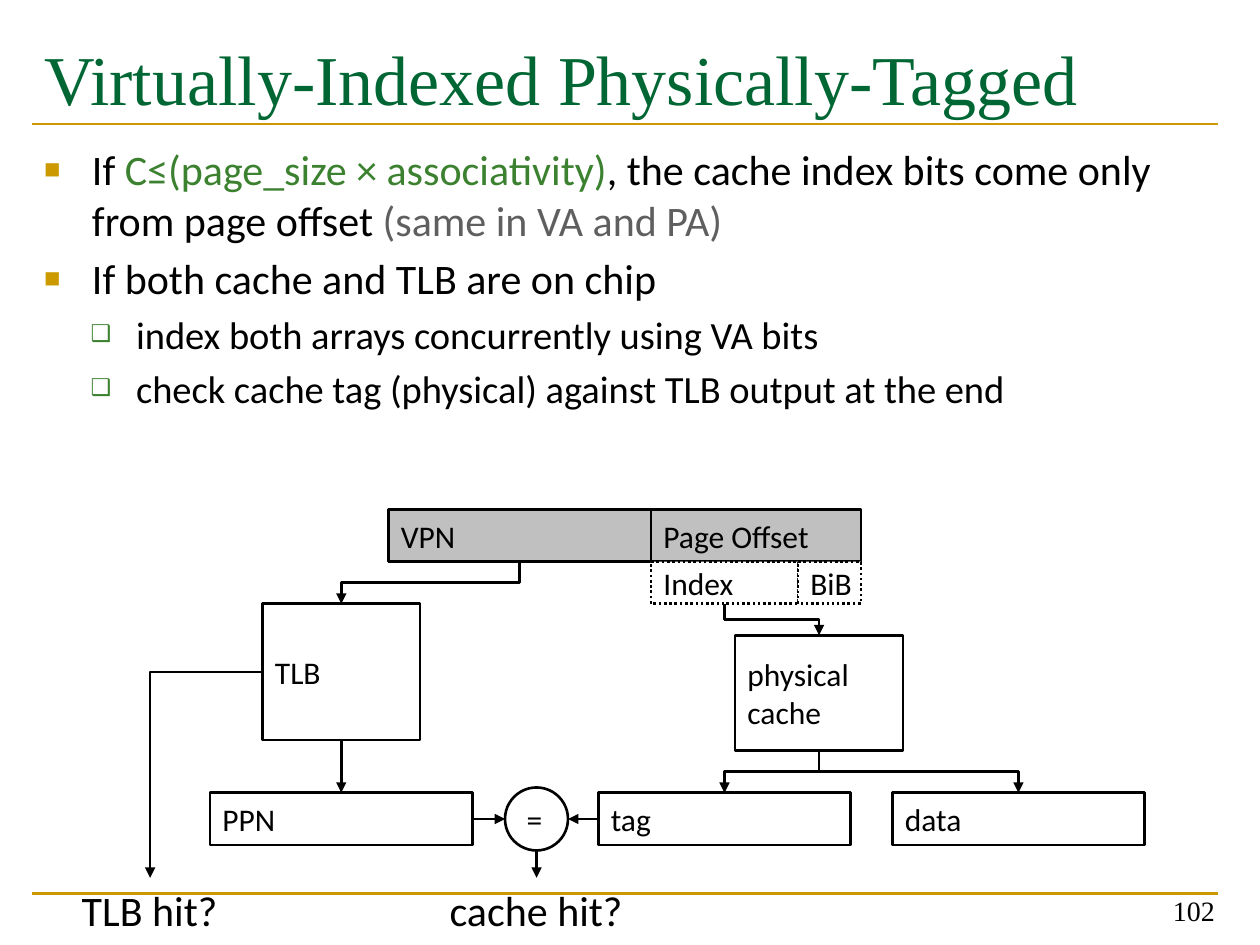
from dataclasses import dataclass

from lxml import etree
from pptx import Presentation, util as u
from pptx.dml.color import RGBColor
from pptx.enum import dml, shapes, text
from pptx.oxml.ns import qn

COLORS = {"black": "000000", "white": "FFFFFF", "gray": "C0C0C0", "note": "5F5F5F",
          "gold": "CC9900", "green": "3B812F", "title": "006633"}
CELL = u.Inches(1) / 12  # grid of 120 columns by 90 rows


@dataclass
class Box:
    label: str
    column: float
    row: float
    columns: float
    rows: float
    fill: str = "white"
    dash: object = None
    kind: object = shapes.MSO_SHAPE.RECTANGLE
    shape: object = None

    @property
    def middle(self) -> float:
        return self.column + self.columns / 2

    @property
    def bottom(self) -> float:
        return self.row + self.rows


@dataclass
class Bullet:
    level: int
    runs: list


BULLET_STYLES = [  # sign, colour, percent of text, left margin, hanging indent, size, space before
    ("■", "gold", 65, 0.38, 0.38, 24, 4.8),
    ("❑", "green", 60, 0.73, 0.36, 22, 4.4),
]
BULLETS = [
    Bullet(0, [("If ", "black"), ("C≤(page_size × associativity)", "green"),
               (", the cache index bits come only from page offset ", "black"),
               ("(same in VA and PA)", "note")]),
    Bullet(0, [("If both cache and TLB are on chip", "black")]),
    Bullet(1, [("index both arrays concurrently using VA bits", "black")]),
    Bullet(1, [("check cache tag (physical) against TLB output at the end", "black")]),
]
DOTTED = dml.MSO_LINE.ROUND_DOT
BOXES = {
    "vpn": Box("VPN", 37, 48.5, 25, 5, "gray"),
    "offset": Box("Page Offset", 62, 48.5, 20, 5, "gray"),
    "tlb": Box("TLB", 25, 57.5, 15, 13),
    "ppn": Box("PPN", 20, 75.5, 25, 5),
    "index": Box("Index", 62, 53.5, 14, 4, dash=DOTTED),
    "bib": Box("BiB", 76, 53.5, 6, 4, dash=DOTTED),
    "cache": Box("physical\ncache", 70, 60.5, 16, 11),
    "tag": Box("tag", 57, 75.5, 24, 5),
    "data": Box("data", 85, 75.5, 24, 5),
    "equal": Box("=", 48.1, 75, 6, 6, kind=shapes.MSO_SHAPE.OVAL),
}
ELBOWS = [("vpn", "tlb"), ("index", "cache"), ("cache", "tag"), ("cache", "data")]
HIT_ROW = 83.6
TLB_HIT_COLUMN = 14.3


def grid(*cells: float) -> list:
    return [u.Emu(round(cell * CELL)) for cell in cells]


def color(name: str) -> RGBColor:
    return RGBColor.from_string(COLORS[name])


def place(shape, left: float, top: float, width: float, height: float) -> None:
    values = {"left": left, "top": top, "width": width, "height": height}
    for name, value in values.items():
        setattr(shape, name, u.Inches(value))


def format_font(font, size: float, color_name: str = "black", name: str = "Calibri") -> None:
    for key, value in {"size": u.Pt(size), "name": name}.items():
        setattr(font, key, value)
    font.color.rgb = color(color_name)


def format_frame(frame, **values) -> None:
    for key, value in values.items():
        setattr(frame, key, value)


def add_bullet(paragraph, bullet: Bullet, first: bool) -> None:
    sign, sign_color, percent, margin, indent, size, space = BULLET_STYLES[bullet.level]
    paragraph.level = bullet.level
    paragraph.space_before = u.Pt(0 if first else space)
    properties = paragraph._p.get_or_add_pPr()
    properties.set("marL", str(u.Inches(margin)))
    properties.set("indent", str(-u.Inches(indent)))
    bullet_color = etree.SubElement(properties, qn("a:buClr"))
    etree.SubElement(bullet_color, qn("a:srgbClr"), val=COLORS[sign_color])
    etree.SubElement(properties, qn("a:buSzPct"), val=str(percent * 1000))
    etree.SubElement(properties, qn("a:buChar"), char=sign)
    for words, color_name in bullet.runs:
        run = paragraph.add_run()
        run.text = words
        format_font(run.font, size, color_name)


def add_label(slide, words: str, at: tuple, size: float, font: str = "Calibri",
              align=text.PP_ALIGN.LEFT, **frame_values) -> None:
    label = slide.shapes.add_textbox(*[u.Inches(value) for value in at])
    format_frame(label.text_frame, **frame_values)
    paragraph = label.text_frame.paragraphs[0]
    paragraph.text = words
    paragraph.alignment = align
    format_font(paragraph.font, size, name=font)


def draw_box(slide, box: Box) -> None:
    box.shape = shape = slide.shapes.add_shape(
        box.kind, *grid(box.column, box.row, box.columns, box.rows))
    shape.shadow.inherit = False
    shape.fill.solid()
    shape.fill.fore_color.rgb = color(box.fill)
    shape.line.color.rgb = color("black")
    shape.line.width = u.Pt(1.5)
    if box.dash:
        shape.line.dash_style = box.dash
    frame = shape.text_frame
    frame.text = box.label
    format_frame(frame, word_wrap=False, vertical_anchor=text.MSO_ANCHOR.MIDDLE)
    for paragraph in frame.paragraphs:
        paragraph.alignment = text.PP_ALIGN.LEFT
        format_font(paragraph.font, 18)


def draw_line(slide, ends: tuple, kind=shapes.MSO_CONNECTOR.STRAIGHT,
              color_name: str = "black", arrow: bool = True):
    connector = slide.shapes.add_connector(kind, *grid(*ends))
    connector.line.color.rgb = color(color_name)
    connector.line.width = u.Pt(1.5)
    if arrow:
        etree.SubElement(connector.line._get_or_add_ln(), qn("a:tailEnd"), type="triangle")
    etree.SubElement(connector._element.spPr, qn("a:effectLst"))
    return connector


def draw_elbow(slide, start: Box, end: Box) -> None:
    """Goes down, across and down again: a level elbow turned a quarter."""
    drop, shift = end.row - start.bottom, end.middle - start.middle
    center, level = (start.middle + end.middle) / 2, (start.bottom + end.row) / 2
    side = drop / 2 if shift > 0 else -drop / 2
    half = abs(shift) / 2
    ends = (center + side, level - half, center - side, level + half)
    connector = draw_line(slide, ends, shapes.MSO_CONNECTOR.ELBOW)
    connector.rotation = 270 if shift > 0 else 90


def main() -> None:
    presentation = Presentation()
    presentation.slide_width, presentation.slide_height = u.Inches(10), u.Inches(7.5)
    slide = presentation.slides.add_slide(presentation.slide_layouts[1])

    # Rules above and below the content
    for row in (85.1, 11.8):
        draw_line(slide, (3, row, 116, row), color_name="gold", arrow=False)

    # Title and list
    title, body = slide.placeholders
    place(title, 0.25, 0.17, 9.42, 1.17)
    title.text_frame.text = "Virtually-Indexed Physically-Tagged"
    format_frame(title.text_frame, vertical_anchor=text.MSO_ANCHOR.TOP, margin_top=u.Inches(0.11))
    heading = title.text_frame.paragraphs[0]
    heading.alignment = text.PP_ALIGN.LEFT
    format_font(heading.font, 40, "title", "Times New Roman")
    place(body, 0.25, 1.09, 9.42, 5.68)
    frame = body.text_frame
    for number, bullet in enumerate(BULLETS):
        paragraph = frame.add_paragraph() if number else frame.paragraphs[0]
        add_bullet(paragraph, bullet, number == 0)

    # Address, lookup and compare boxes
    for box in BOXES.values():
        draw_box(slide, box)
    for start, end in ELBOWS:
        draw_elbow(slide, BOXES[start], BOXES[end])

    # Straight arrows
    tlb, ppn, tag, equal = (BOXES[name] for name in ("tlb", "ppn", "tag", "equal"))
    down = draw_line(slide, (tlb.middle, tlb.bottom, ppn.middle, ppn.row))
    down.begin_connect(tlb.shape, 2)
    down.end_connect(ppn.shape, 0)
    for box, site, edge, target in ((ppn, 3, ppn.column + ppn.columns, equal.column),
                                    (tag, 1, tag.column, equal.column + equal.columns)):
        draw_line(slide, (edge, 78, target, 78)).begin_connect(box.shape, site)
    draw_line(slide, (equal.middle, equal.bottom, equal.middle, HIT_ROW))

    # One-bend arrow from the TLB to its result
    bend = draw_line(slide, (TLB_HIT_COLUMN, HIT_ROW, tlb.column, tlb.row + tlb.rows / 2),
                     shapes.MSO_CONNECTOR.ELBOW)
    bend._element.spPr.find(qn("a:prstGeom")).set("prst", "bentConnector2")
    bend.rotation = 180

    # Results and slide number
    add_label(slide, "cache hit?", (3.47, 6.97, 1.59, 0.51), 24, word_wrap=False)
    add_label(slide, "TLB hit?", (0.55, 6.97, 1.29, 0.51), 24, word_wrap=False)
    add_label(slide, "102", (7.41, 6.91, 2.33, 0.5), 16, "Times New Roman",
              text.PP_ALIGN.RIGHT, word_wrap=True, vertical_anchor=text.MSO_ANCHOR.BOTTOM)
    presentation.save("out.pptx")


if __name__ == "__main__":
    main()
